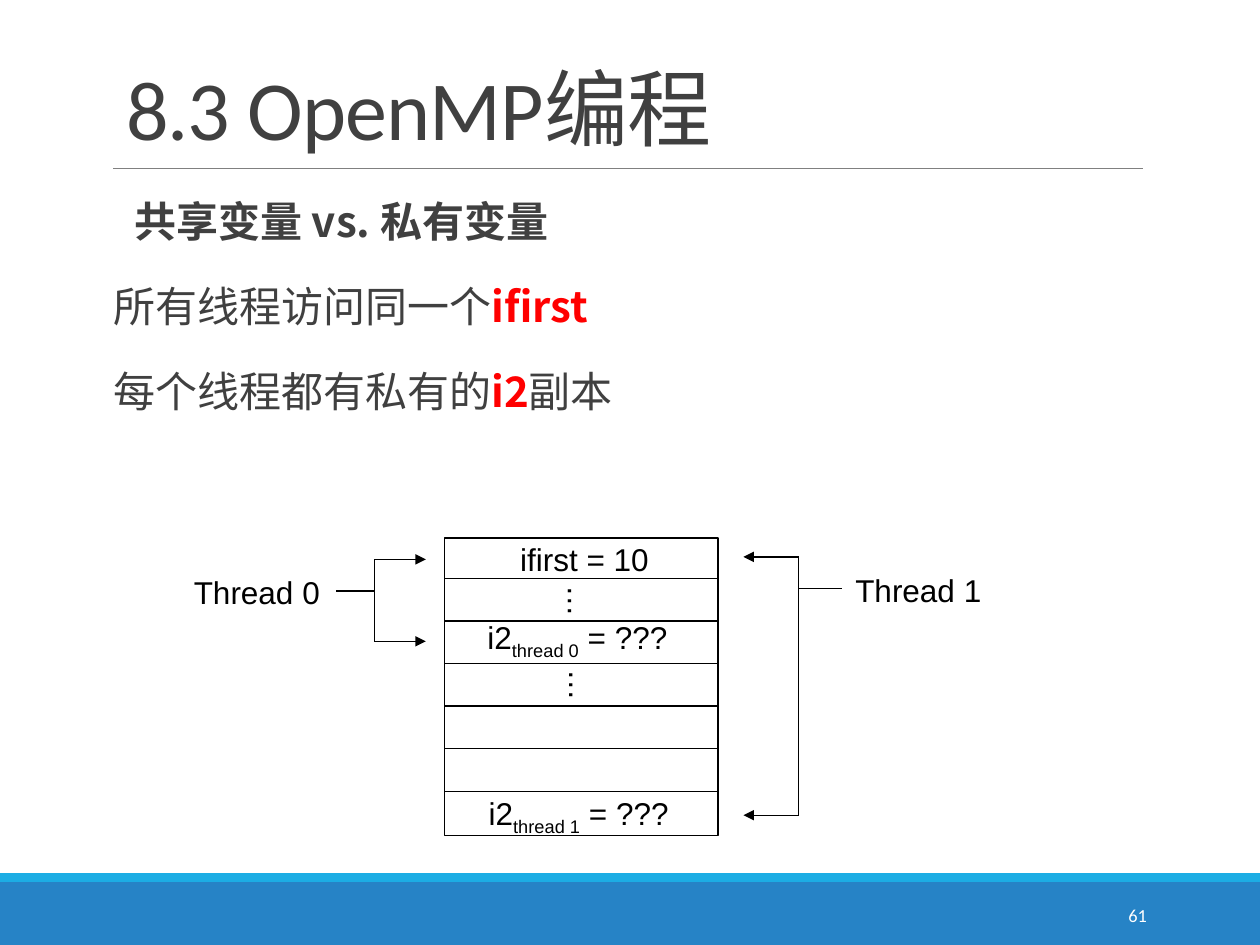
from dataclasses import dataclass

from lxml import etree
from pptx import Presentation
from pptx import util as u
from pptx.dml.color import RGBColor
from pptx.enum import shapes, text
from pptx.oxml import ns


@dataclass(frozen=True)
class Theme:
    ink: str = "404040"
    black: str = "000000"
    white: str = "FFFFFF"
    red: str = "FF0000"
    band: str = "2683C6"
    accent: str = "1CADE4"
    rule: str = "808080"
    heading: str = "Calibri"
    body: str = "Noto Sans CJK SC"
    diagram: str = "Arial"
    title_size: float = 48
    body_size: float = 24
    label_size: float = 18
    number_size: float = 10.5


THEME = Theme()
LABEL = {"name": THEME.diagram, "size": THEME.label_size, "color": THEME.black}
BODY = {"name": THEME.body, "size": THEME.body_size, "color": THEME.ink, "bold": False}
STRONG = BODY | {"bold": True}
KEYWORD = STRONG | {"color": THEME.red}


def add_element(parent, tag, **attributes):
    return etree.SubElement(parent, ns.qn(tag), attributes)


def add_span(para, words, style, **attributes):
    span = para.add_run()
    span.text = words
    values = dict(style, size=u.Pt(style["size"]))
    span.font.color.rgb = RGBColor.from_string(values.pop("color"))
    for name, value in values.items():
        setattr(span.font, name, value)
    properties = span.font._element
    add_element(properties, "a:ea", typeface=THEME.body)
    for name, value in attributes.items():
        properties.set(name, value)


def add_box(slide, left, top, width, height, **frame_values):
    box = slide.shapes.add_textbox(*map(u.Inches, (left, top, width, height)))
    for name, value in frame_values.items():
        setattr(box.text_frame, name, value)
    return box


def add_label(slide, left, top, width, spans, rotation=0):
    box = add_box(slide, left, top, width, 0.4, word_wrap=False,
                  auto_size=text.MSO_AUTO_SIZE.SHAPE_TO_FIT_TEXT)
    box.rotation = rotation
    for words, baseline in spans:
        add_span(box.text_frame.paragraphs[0], words, LABEL, baseline=baseline)


def add_rectangle(slide, left, top, width, height, fill, line=None):
    rectangle = slide.shapes.add_shape(shapes.MSO_SHAPE.RECTANGLE,
                                       *map(u.Inches, (left, top, width, height)))
    rectangle.shadow.inherit = False
    rectangle.fill.solid()
    rectangle.fill.fore_color.rgb = RGBColor.from_string(fill)
    if line:
        rectangle.line.color.rgb = RGBColor.from_string(line)
        rectangle.line.width = u.Pt(0.75)
    else:
        rectangle.line.fill.background()


def add_line(slide, start, end, color=THEME.black, width=0.75, arrow=False):
    line = slide.shapes.add_connector(shapes.MSO_CONNECTOR.STRAIGHT,
                                      *map(u.Inches, (*start, *end)))
    line.line.color.rgb = RGBColor.from_string(color)
    line.line.width = u.Pt(width)
    if arrow:
        add_element(line.line._get_or_add_ln(), "a:tailEnd", type="triangle")
    add_element(line._element.spPr, "a:effectLst")


def add_title(slide, words):
    title = slide.shapes.title
    place = {"left": 0.9, "top": 0.31, "width": 8.25, "height": 0.99}
    for name, value in place.items():
        setattr(title, name, u.Inches(value))
    title.text_frame.vertical_anchor = text.MSO_ANCHOR.BOTTOM
    para = title.text_frame.paragraphs[0]
    para.alignment = text.PP_ALIGN.LEFT
    para.line_spacing = 0.85
    style = {"name": THEME.heading, "size": THEME.title_size, "color": THEME.ink}
    add_span(para, words, style, spc="-50")


def add_body(slide):
    lines = [
        [("共享变量 vs. 私有变量", STRONG)],
        [("所有线程访问同一个", BODY), ("ifirst", KEYWORD)],
        [("每个线程都有私有的", BODY), ("i2", KEYWORD), ("副本", BODY)],
    ]
    frame = add_box(slide, 0.9, 1.42, 8.25, 5, word_wrap=True,
                    margin_left=0, margin_right=0).text_frame
    for index, spans in enumerate(lines):
        para = frame.add_paragraph() if index else frame.paragraphs[0]
        para.line_spacing = 1.2
        para.space_before = u.Pt(12 if index else 0)
        para.space_after = u.Pt(2)
        if index == 0:
            properties = para._p.get_or_add_pPr()
            indent = u.Inches(0.1)
            properties.set("marL", str(indent))
            properties.set("indent", str(-indent))
            color = add_element(properties, "a:buClr")
            add_element(color, "a:srgbClr", val=THEME.accent)
            add_element(properties, "a:buChar", char=" ")
        for words, style in spans:
            add_span(para, words, style)


def add_memory(slide):
    left, right = 3.53, 5.7
    add_rectangle(slide, left, 4.27, right - left, 2.36, THEME.white, THEME.black)
    for row in range(6):
        y = 4.59 + 0.338 * row
        add_line(slide, (left, y), (right, y))
    add_label(slide, 4.03, 4.24, 1.22, [("ifirst = 10", "0")])
    for thread, place in enumerate([(3.77, 4.86), (3.78, 6.25)]):
        add_label(slide, *place, 1.71,
                  [("i2", "0"), (f"thread {thread}", "-25000"), (" = ???", "0")])
    for left, top in [(4.38, 4.57), (4.39, 5.24)]:
        add_label(slide, left, top, 0.45, [("…", "0")], rotation=90)


def add_thread(slide, name, label_place, stem, spine, tip, targets):
    add_label(slide, *label_place, 1.2, [(name, "0")])
    add_line(slide, stem, (spine, stem[1]))
    add_line(slide, (spine, targets[0]), (spine, targets[1]))
    for y in targets:
        add_line(slide, (spine, y), (tip, y), arrow=True)


def add_footer(slide, number):
    add_rectangle(slide, 0, 7, 10, 0.5, THEME.band)
    add_rectangle(slide, 0, 6.93, 10, 0.07, THEME.accent)
    box = add_box(slide, 8.12, 7.06, 1.08, 0.4, word_wrap=True,
                  vertical_anchor=text.MSO_ANCHOR.MIDDLE)
    para = box.text_frame.paragraphs[0]
    para.alignment = text.PP_ALIGN.RIGHT
    style = {"name": THEME.heading, "size": THEME.number_size, "color": THEME.white}
    add_span(para, number, style)


def main():
    deck = Presentation()
    deck.slide_width, deck.slide_height = u.Inches(10), u.Inches(7.5)
    slide = deck.slides.add_slide(deck.slide_layouts[5])
    add_footer(slide, "61")
    add_line(slide, (0.9, 1.34), (9.07, 1.34), THEME.rule, 0.5)
    add_title(slide, "8.3 OpenMP编程")
    add_body(slide)
    add_memory(slide)
    add_thread(slide, "Thread 0", (1.44, 4.5), (2.67, 4.69), 2.97, 3.38, (4.44, 5.09))
    add_thread(slide, "Thread 1", (6.69, 4.48), (6.68, 4.67), 6.34, 5.9, (4.42, 6.47))
    deck.save("out.pptx")


if __name__ == "__main__":
    main()
